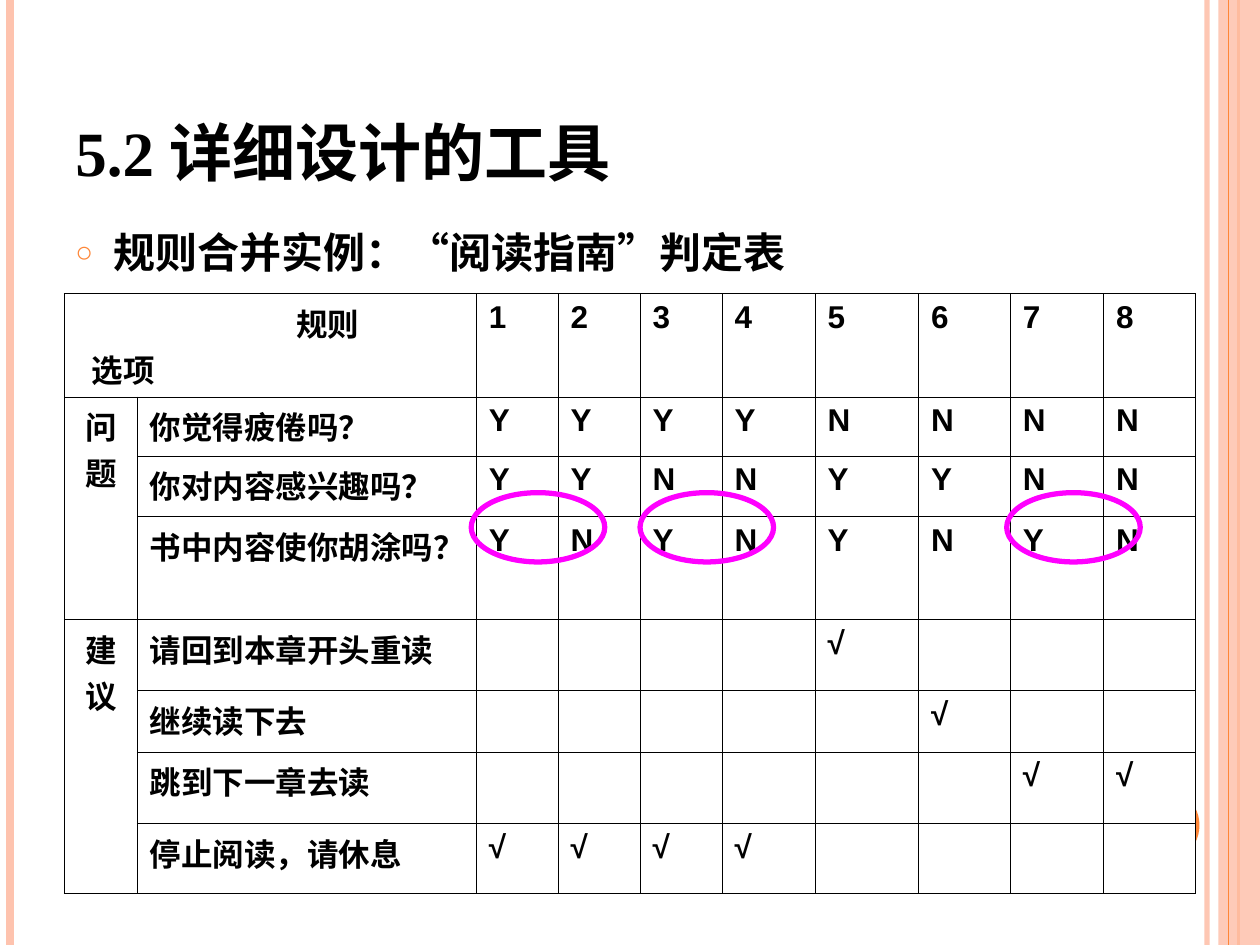
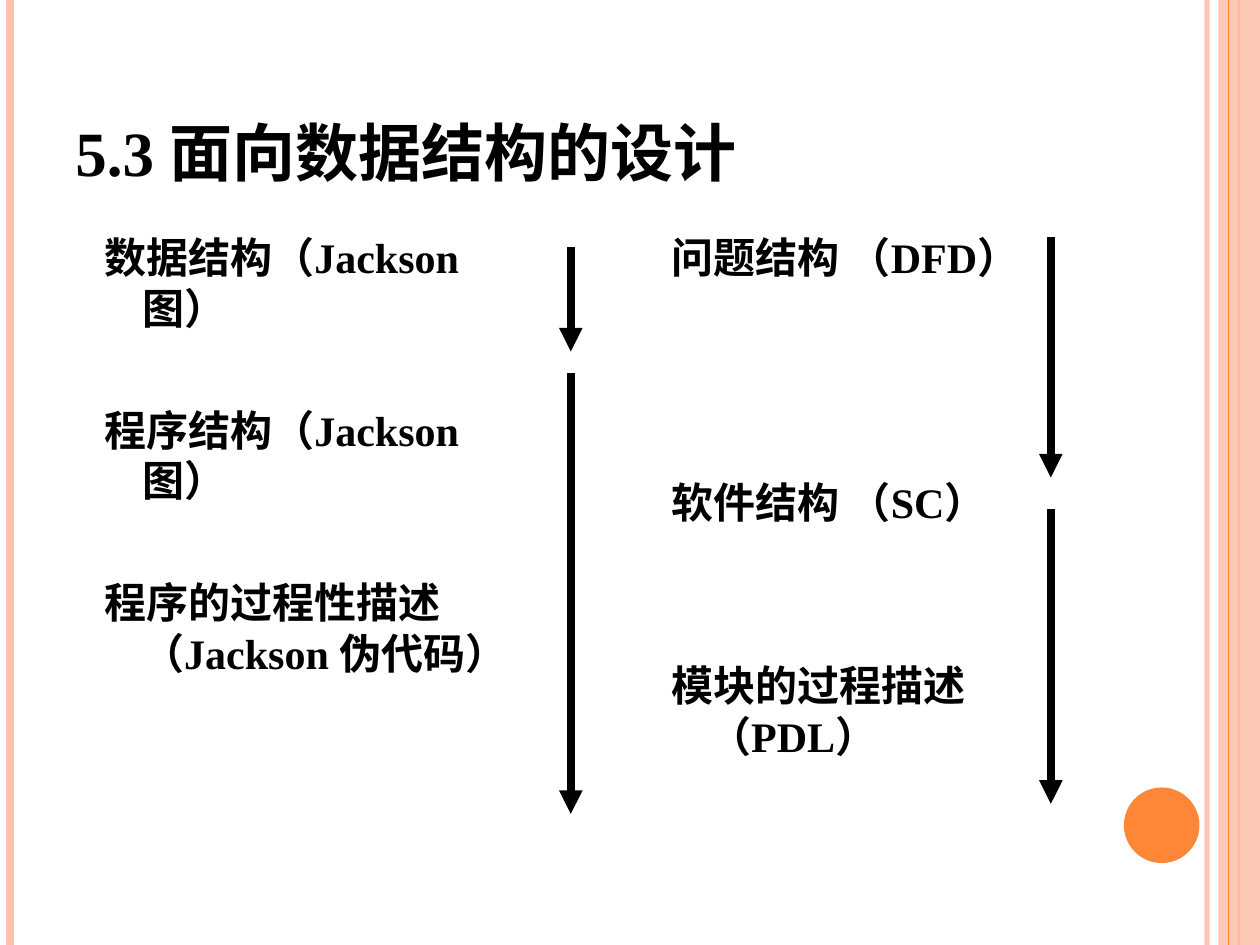
from lxml.etree import SubElement
from pptx import Presentation
from pptx.dml.color import RGBColor
from pptx.enum.shapes import MSO_CONNECTOR, MSO_SHAPE
from pptx.enum.text import MSO_ANCHOR as Anchor, PP_ALIGN as Align
from pptx.oxml.ns import qn
from pptx.util import Inches, Pt

BLACK = RGBColor(0x00, 0x00, 0x00)
WHITE = RGBColor(0xFF, 0xFF, 0xFF)
PEACH = RGBColor(0xFE, 0xC3, 0xAE)
ORANGE = RGBColor(0xFE, 0x86, 0x37)
MAGENTA = RGBColor(0xFF, 0x00, 0xFF)
SERIF, SANS = "Times New Roman", "Arial"
SLIDE_W, SLIDE_H = 10, 7.5
HANG = 0.3

# Decision table
TOOLS_TITLE = "5.2 详细设计的工具"
TOOLS_POINT = "规则合并实例：“阅读指南”判定表"
RULES_LABEL, OPTIONS_LABEL = "规则", "选项"
RULES = "12345678"
GROUPS = [
    ("问题", [("你觉得疲倦吗？", "YYYYNNNN"),
            ("你对内容感兴趣吗？", "YYNNYYNN"),
            ("书中内容使你胡涂吗？", "YNYNYNYN")]),
    ("建议", [("请回到本章开头重读", "    √   "),
            ("继续读下去", "     √  "),
            ("跳到下一章去读", "      √√"),
            ("停止阅读，请休息", "√√√√    ")]),
]
COLUMN_WIDTHS = [0.58, 2.69, 0.65, 0.65, 0.65, 0.74, 0.82, 0.73, 0.74, 0.73]
ROW_HEIGHTS = [0.82, 0.47, 0.48, 0.82, 0.56, 0.49, 0.57, 0.55]
TABLE_LEFT, TABLE_TOP = 0.51, 2.33
MERGE_RING_LEFTS = [3.74, 5.08, 7.99]

# Two design routes: box, then (step, points of space before it)
STRUCTURE_TITLE = "5.3 面向数据结构的设计"
ROUTES = [
    ((0.73, 1.79, 3.48, 5), [("数据结构（Jackson 图）", 6),
                             ("程序结构（Jackson 图）", 41),
                             ("程序的过程性描述（Jackson 伪代码）", 41)]),
    ((5.23, 1.79, 3.07, 4.96), [("问题结构 （DFD）", 6),
                                ("软件结构 （SC）", 111),
                                ("模块的过程描述 （PDL）", 76)]),
]
# x, then (top, bottom) of each arrow
ROUTE_ARROWS = [(8.34, [(1.88, 3.79), (4.04, 6.38)]),
                (4.53, [(1.96, 2.79), (2.96, 6.46)])]


def set_alpha(fill_xml, percent):
    color = next(fill_xml.iter(qn("a:srgbClr")))
    SubElement(color, qn("a:alpha"), val=str(percent * 1000))


def style(paragraph, size, face):
    font = paragraph.font
    font.size, font.name, font.bold = Pt(size), face, True
    font.color.rgb = BLACK


def indent(paragraph, left, first=0):
    props = paragraph._p.get_or_add_pPr()
    props.set("marL", str(Inches(left)))
    props.set("indent", str(Inches(first)))
    return props


def add_vertical(slide, x, top, bottom, color, width):
    line = slide.shapes.add_connector(
        MSO_CONNECTOR.STRAIGHT, Inches(x), Inches(top), Inches(x), Inches(bottom))
    line.line.color.rgb = color
    line.line.width = Pt(width)
    SubElement(line._element.spPr, qn("a:effectLst"))
    return line


def add_plain_shape(slide, kind, box, fill=None, outline=None):
    shape = slide.shapes.add_shape(kind, *map(Inches, box))
    shape.shadow.inherit = False
    if fill is None:
        shape.fill.background()
    else:
        shape.fill.solid()
        shape.fill.fore_color.rgb = fill
    if outline is None:
        shape.line.fill.background()
    else:
        shape.line.color.rgb = outline
        shape.line.width = Pt(3)
    return shape


def add_text_frame(slide, box, anchor=Anchor.TOP):
    frame = slide.shapes.add_textbox(*map(Inches, box)).text_frame
    frame.word_wrap = True
    frame.vertical_anchor = anchor
    return frame


def add_base_slide(deck, title):
    """Blank slide with the side bands, the orange disc and the title."""
    slide = deck.slides.add_slide(deck.slide_layouts[6])
    inner = add_vertical(slide, 9.58, 0, SLIDE_H, PEACH, 3)
    set_alpha(inner._element.spPr, 93)
    add_vertical(slide, 0.08, 0, SLIDE_H, PEACH, 4.5)
    add_vertical(slide, 9.83, 0, SLIDE_H, ORANGE, 1.5)
    band = add_plain_shape(slide, MSO_SHAPE.RECTANGLE, (9.67, 0, 0.33, SLIDE_H), PEACH)
    set_alpha(band._element.spPr, 87)
    add_vertical(slide, 9.75, 0, SLIDE_H, ORANGE, 0.75)
    add_plain_shape(slide, MSO_SHAPE.OVAL, (8.92, 6.25, 0.6, 0.6), ORANGE)
    heading = add_text_frame(slide, (0.5, 0.3, 8.17, 1.25), Anchor.BOTTOM).paragraphs[0]
    heading.text = title
    style(heading, 36, SERIF)
    return slide


def add_bullet(paragraph):
    props = indent(paragraph, HANG, -HANG)
    color = SubElement(props, qn("a:buClr"))
    SubElement(color, qn("a:srgbClr"), val=str(ORANGE))
    SubElement(props, qn("a:buSzPct"), val="70000")
    SubElement(props, qn("a:buFont"), typeface=SANS)
    SubElement(props, qn("a:buChar"), char="○")


def format_cell(cell):
    props = cell._tc.get_or_add_tcPr()
    for side in ("a:lnL", "a:lnR", "a:lnT", "a:lnB"):
        border = SubElement(props, qn(side), w=str(Pt(0.45)))
        SubElement(SubElement(border, qn("a:solidFill")), qn("a:srgbClr"), val=str(BLACK))
    cell.fill.solid()
    cell.fill.fore_color.rgb = WHITE
    for paragraph in cell.text_frame.paragraphs:
        style(paragraph, 18, SANS)


def fill_answers(table, row, answers):
    for column, answer in enumerate(answers, start=2):
        table.cell(row, column).text = answer.strip()


def add_decision_table(slide):
    table = slide.shapes.add_table(
        len(ROW_HEIGHTS), len(COLUMN_WIDTHS), Inches(TABLE_LEFT), Inches(TABLE_TOP),
        Inches(sum(COLUMN_WIDTHS)), Inches(sum(ROW_HEIGHTS))).table
    for column, width in zip(table.columns, COLUMN_WIDTHS):
        column.width = Inches(width)
    for row, height in zip(table.rows, ROW_HEIGHTS):
        row.height = Inches(height)

    corner = table.cell(0, 0)
    corner.merge(table.cell(0, 1))
    corner.text = f"{RULES_LABEL}\n{OPTIONS_LABEL}"
    for paragraph, left in zip(corner.text_frame.paragraphs, (1.74, 0.12)):
        indent(paragraph, left)
    fill_answers(table, 0, RULES)

    row = 1
    for group, entries in GROUPS:
        label = table.cell(row, 0)
        label.merge(table.cell(row + len(entries) - 1, 0))
        label.text = group
        label.text_frame.paragraphs[0].alignment = Align.CENTER
        for entry, answers in entries:
            table.cell(row, 1).text = entry
            fill_answers(table, row, answers)
            row += 1
    for cell in table.iter_cells():
        format_cell(cell)


def build_tools_slide(deck):
    slide = add_base_slide(deck, TOOLS_TITLE)
    point = add_text_frame(slide, (0.5, 1.75, 8.17, 5.33)).paragraphs[0]
    point.text = TOOLS_POINT
    add_bullet(point)
    point.space_before = Pt(6)
    style(point, 24, SERIF)
    add_decision_table(slide)
    for left in MERGE_RING_LEFTS:
        add_plain_shape(slide, MSO_SHAPE.OVAL, (left, 3.91, 1.06, 0.55), outline=MAGENTA)


def build_structure_slide(deck):
    slide = add_base_slide(deck, STRUCTURE_TITLE)
    for box, steps in ROUTES:
        frame = add_text_frame(slide, box)
        for number, (step, space) in enumerate(steps):
            paragraph = frame.add_paragraph() if number else frame.paragraphs[0]
            paragraph.text = step
            indent(paragraph, HANG, -HANG)
            paragraph.space_before = Pt(space)
            style(paragraph, 24, SERIF)
    for x, spans in ROUTE_ARROWS:
        for top, bottom in spans:
            arrow = add_vertical(slide, x, top, bottom, BLACK, 4.5)
            SubElement(arrow.line._get_or_add_ln(), qn("a:tailEnd"), type="triangle")


def main():
    deck = Presentation()
    deck.slide_width, deck.slide_height = Inches(SLIDE_W), Inches(SLIDE_H)
    build_tools_slide(deck)
    build_structure_slide(deck)
    deck.save("out.pptx")


if __name__ == "__main__":
    main()
